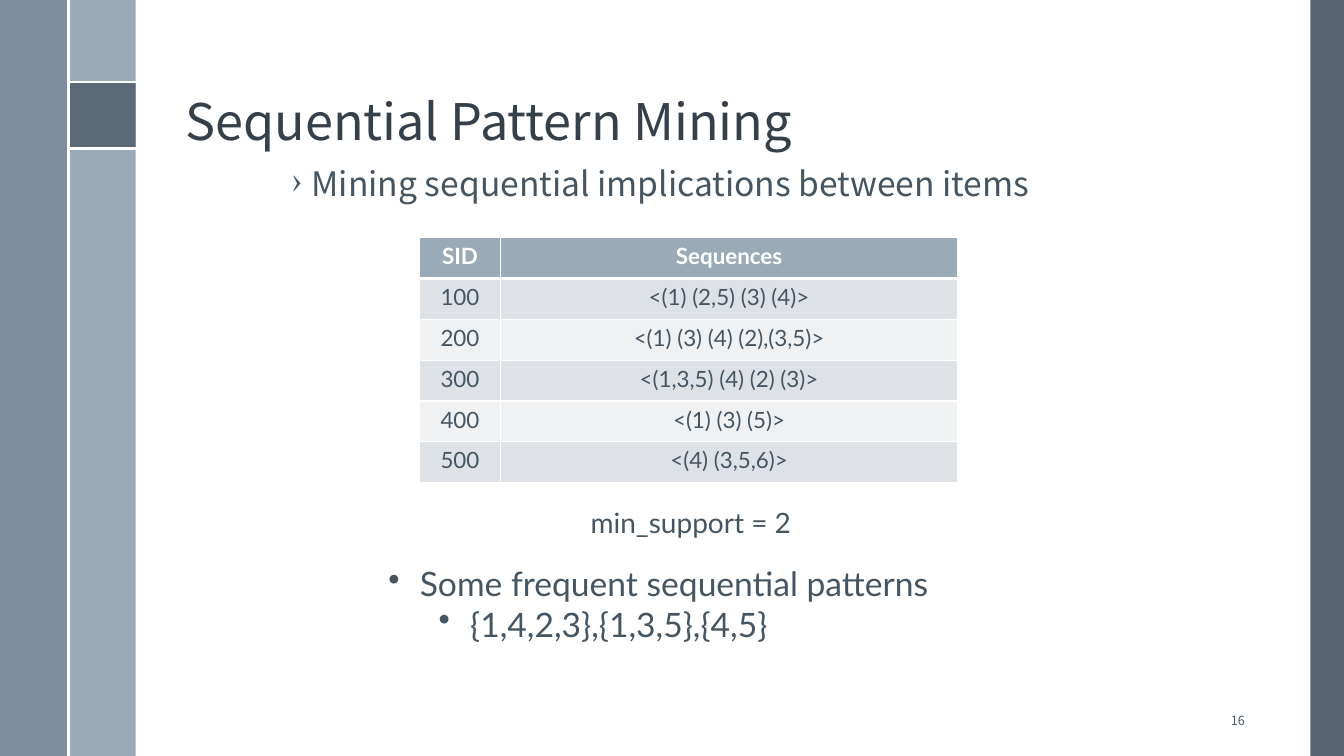
from dataclasses import dataclass

from lxml import etree
from pptx import Presentation
from pptx.dml.color import RGBColor
from pptx.enum.shapes import MSO_CONNECTOR, MSO_SHAPE
from pptx.enum.text import MSO_ANCHOR, PP_ALIGN
from pptx.oxml.ns import qn
from pptx.util import Inches, Pt

RECTANGLE = MSO_SHAPE.RECTANGLE
STRAIGHT = MSO_CONNECTOR.STRAIGHT
TOP, MIDDLE, BOTTOM = MSO_ANCHOR.TOP, MSO_ANCHOR.MIDDLE, MSO_ANCHOR.BOTTOM
LEFT, CENTER, RIGHT = PP_ALIGN.LEFT, PP_ALIGN.CENTER, PP_ALIGN.RIGHT

WIDTH, HEIGHT, GRID = Inches(13.33), Inches(7.5), 20

SEQUENCES = [
    ("SID", "Sequences"),
    ("100", "<(1) (2,5) (3) (4)>"),
    ("200", "<(1) (3) (4) (2),(3,5)>"),
    ("300", "<(1,3,5) (4) (2) (3)>"),
    ("400", "<(1) (3) (5)>"),
    ("500", "<(4) (3,5,6)>"),
]


@dataclass(frozen=True)
class Theme:
    """Colours, fonts and type sizes of the slide."""

    white: str = "FFFFFF"
    title: str = "35404A"
    text: str = "465562"
    slate: str = "475562"
    steel: str = "6A8093"
    mist: str = "9BAAB7"
    odd_row: str = "DEE2E6"
    even_row: str = "EFF1F3"
    heading_font: str = "Noto Sans CJK TC"
    body_font: str = "Lato"
    title_size: float = 36
    body_size: float = 24
    note_size: float = 20
    table_size: float = 16
    number_size: float = 9
    rule: float = 1.5
    border: float = 1
    header_border: float = 3


THEME = Theme()


def col(count):
    """Return the width of a number of grid columns."""
    return round(WIDTH * count / GRID)


def row(count):
    """Return the height of a number of grid rows."""
    return round(HEIGHT * count / GRID)


def place(left, top, width, height):
    """Turn grid units into a position and size."""
    return col(left), row(top), col(width), row(height)


def add_band(slide, area, color, opacity=100):
    """Add a borderless band, optionally translucent."""
    band = slide.shapes.add_shape(RECTANGLE, *place(*area))
    band.shadow.inherit = False
    band.fill.solid()
    band.fill.fore_color.rgb = RGBColor.from_string(color)
    band.line.fill.background()
    if opacity < 100:
        tint = band.element.spPr.find(f"{qn('a:solidFill')}/{qn('a:srgbClr')}")
        etree.SubElement(tint, qn("a:alpha"), val=str(opacity * 1000))


def add_rule(slide, start, end):
    """Add a white divider between two grid points."""
    rule = slide.shapes.add_connector(
        STRAIGHT, col(start[0]), row(start[1]), col(end[0]), row(end[1])
    )
    rule.line.color.rgb = RGBColor.from_string(THEME.white)
    rule.line.width = Pt(THEME.rule)
    etree.SubElement(rule.element.spPr, qn("a:effectLst"))


def style(paragraph, size, font, color=THEME.text, bold=False):
    """Set the font of a whole paragraph."""
    paragraph.font.size = Pt(size)
    paragraph.font.name = font
    paragraph.font.bold = bold
    paragraph.font.color.rgb = RGBColor.from_string(color)


def add_bullet(paragraph, mark, margin, hanging):
    """Give a paragraph a bullet with a hanging indent in grid columns."""
    properties = paragraph._p.get_or_add_pPr()
    properties.set("marL", str(col(margin)))
    properties.set("indent", str(-col(hanging)))
    etree.SubElement(properties, qn("a:buChar"), char=mark)


def add_text(slide, area, lines, size, font, color=THEME.text, anchor=TOP,
             align=LEFT, spacing=1.0, wrap=True, mark=None, margins=(), hanging=0):
    """Add a text box of uniformly styled, optionally bulleted lines."""
    frame = slide.shapes.add_textbox(*place(*area)).text_frame
    frame.word_wrap = wrap
    frame.vertical_anchor = anchor
    frame.text = "\n".join(lines)
    for level, paragraph in enumerate(frame.paragraphs):
        paragraph.alignment = align
        paragraph.line_spacing = spacing
        if mark:
            paragraph.level = level
            add_bullet(paragraph, mark, margins[level], hanging)
        style(paragraph, size, font, color)


def add_borders(cell, top, bottom):
    """Draw white borders round a table cell."""
    properties = cell._tc.get_or_add_tcPr()
    widths = {"L": THEME.border, "R": THEME.border, "T": top, "B": bottom}
    for side, width in widths.items():
        border = etree.SubElement(properties, qn(f"a:ln{side}"), w=str(Pt(width)))
        fill = etree.SubElement(border, qn("a:solidFill"))
        etree.SubElement(fill, qn("a:srgbClr"), val=THEME.white)


def add_sequence_table(slide, left, top, widths, height):
    """Add the banded table of sequences."""
    area = place(left, top, sum(widths), height * len(SEQUENCES))
    table = slide.shapes.add_table(len(SEQUENCES), len(widths), *area).table
    for column, width in zip(table.columns, widths):
        column.width = col(width)
    for index, record in enumerate(SEQUENCES):
        table.rows[index].height = row(height)
        header = index == 0
        band = THEME.odd_row if index % 2 else THEME.even_row
        upper = THEME.header_border if index == 1 else THEME.border
        lower = THEME.header_border if header else THEME.border
        for position, value in enumerate(record):
            cell = table.cell(index, position)
            add_borders(cell, upper, lower)
            cell.fill.solid()
            cell.fill.fore_color.rgb = RGBColor.from_string(THEME.mist if header else band)
            cell.text = value
            paragraph = cell.text_frame.paragraphs[0]
            paragraph.alignment = CENTER
            style(paragraph, THEME.table_size, THEME.body_font,
                  THEME.white if header else THEME.text, header)


def add_frame(slide):
    """Add the side bands and their dividers."""
    add_band(slide, (19.5, 0, 0.5, GRID), THEME.slate, 90)
    add_band(slide, (1.02, 0, 1, GRID), THEME.mist)
    add_band(slide, (0, 0, 1, GRID), THEME.steel, 88)
    add_band(slide, (1.02, 2.16, 1, 1.77), THEME.slate, 75)
    for level in (2.16, 3.93):
        add_rule(slide, (1.02, level), (2.02, level))
    add_rule(slide, (1.02, 0), (1.02, GRID))


def main():
    """Build and save the slide."""
    deck = Presentation()
    deck.slide_width, deck.slide_height = WIDTH, HEIGHT
    slide = deck.slides.add_slide(deck.slide_layouts[6])
    add_frame(slide)
    add_text(slide, (2.61, 0.51, 16.05, 3.63), ["Sequential Pattern Mining"],
             THEME.title_size, THEME.heading_font, THEME.title, BOTTOM, spacing=0.9)
    add_text(slide, (4.19, 4.29, 12.96, 1.97),
             ["Mining sequential implications between items"], THEME.body_size,
             THEME.heading_font, spacing=0.9, mark="›", margins=(0.3,), hanging=0.3)
    add_text(slide, (17.67, 18.53, 1, 1.07), ["16"], THEME.number_size,
             THEME.heading_font, anchor=MIDDLE, align=RIGHT)
    add_sequence_table(slide, 6.24, 6.29, (1.21, 6.8), 1.08)
    add_text(slide, (8.64, 13.23, 3.33, 1.17), ["min_support = 2"],
             THEME.note_size, THEME.body_font, wrap=False)
    add_text(slide, (5.63, 14.77, 8.51, 2.43),
             ["Some frequent sequential patterns", "{1,4,2,3},{1,3,5},{4,5}"],
             THEME.body_size, THEME.body_font, wrap=False, mark="•",
             margins=(0.47, 1.22), hanging=0.47)
    deck.save("out.pptx")


if __name__ == "__main__":
    main()
